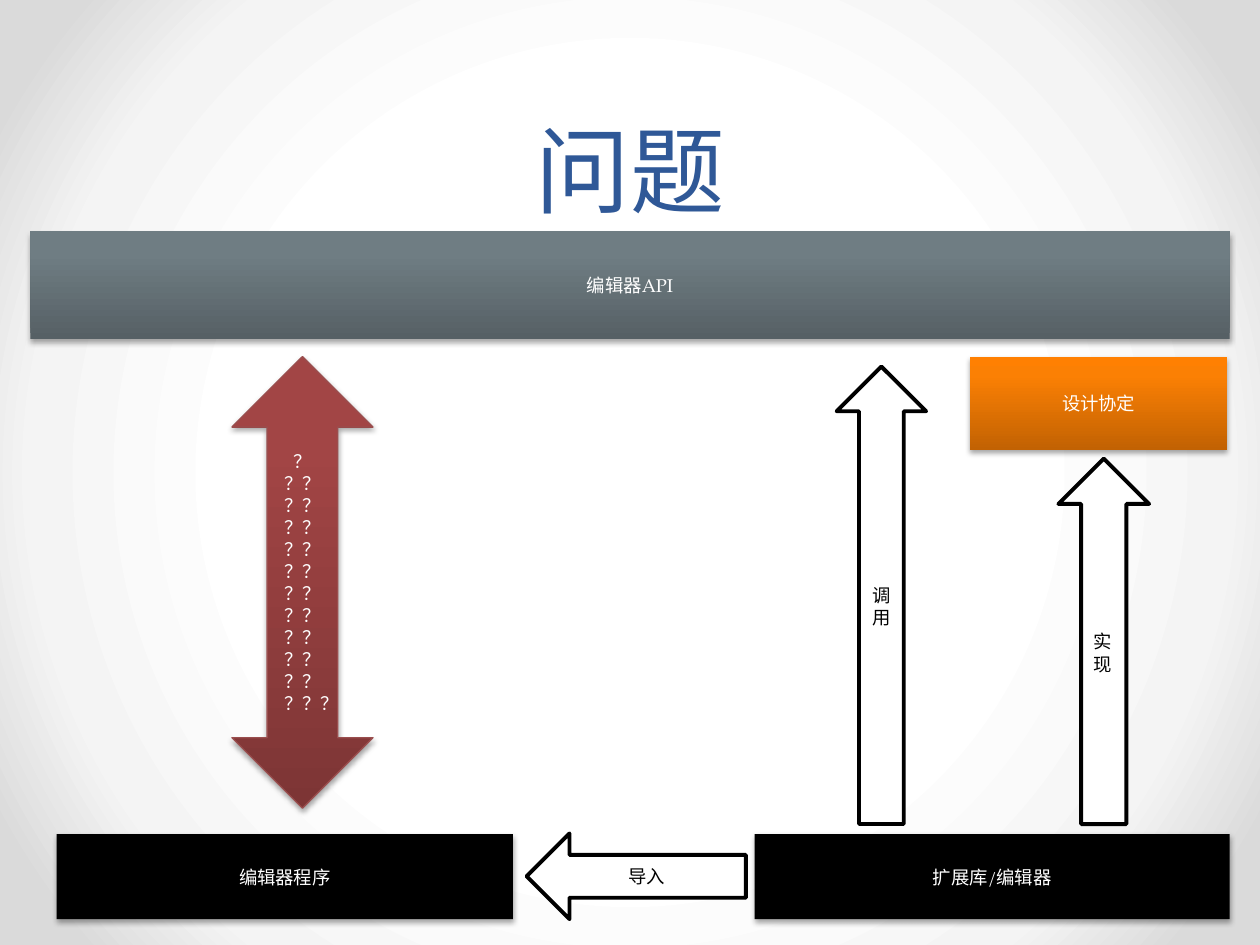
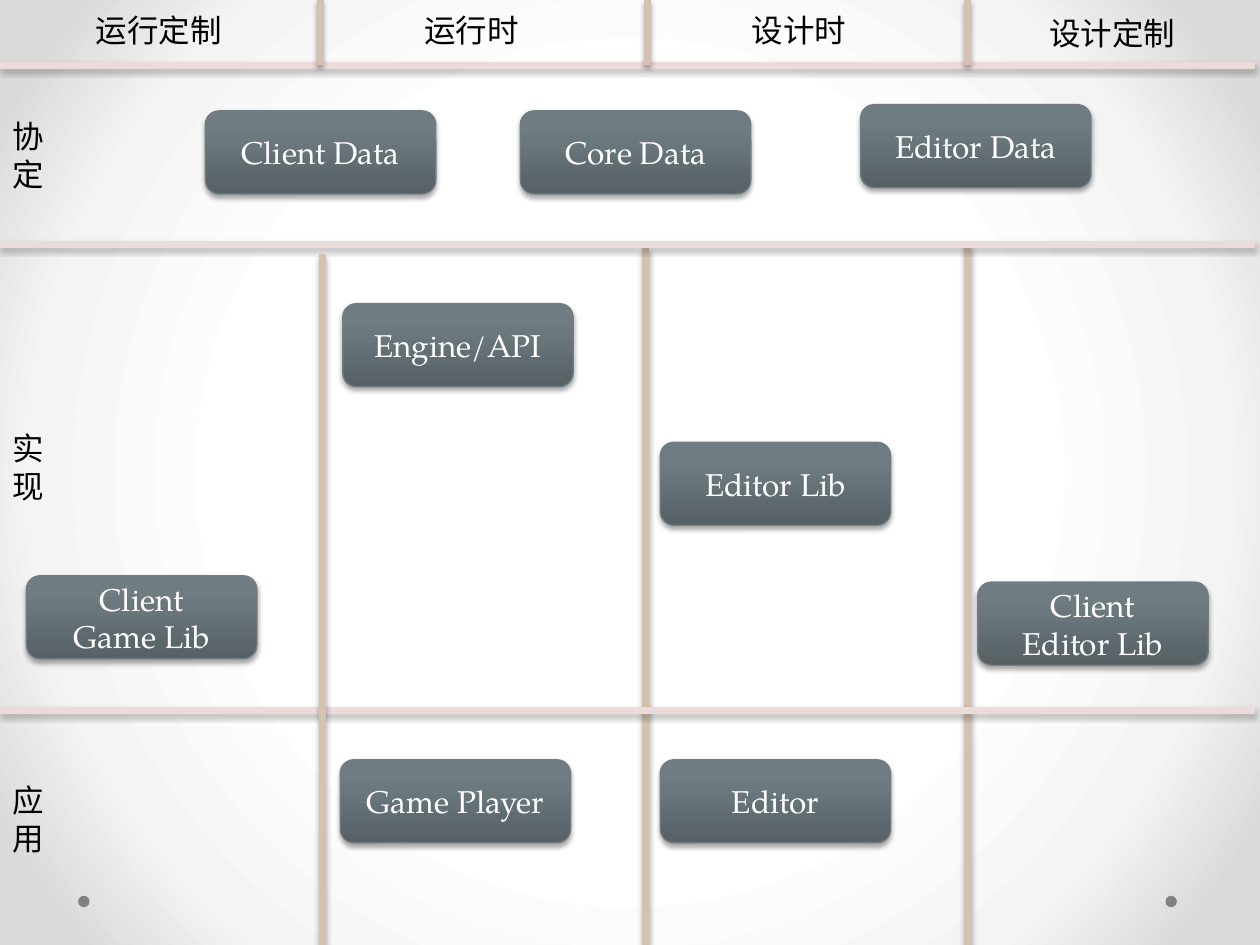
import pptx
import pptx.util
import pptx.dml.color
import pptx.enum.shapes
import pptx.enum.text
import pptx.oxml
import pptx.oxml.ns

Color = pptx.dml.color.RGBColor
Preset = pptx.enum.shapes.MSO_SHAPE
Align = pptx.enum.text.PP_ALIGN
Anchor = pptx.enum.text.MSO_ANCHOR

WIDTH = pptx.util.Inches(10)
HEIGHT = pptx.util.Inches(7.5)
FONT = "TeX Gyre Pagella"

BLACK = Color(0x00, 0x00, 0x00)
WHITE = Color(0xFF, 0xFF, 0xFF)
TITLE_BLUE = Color(0x2F, 0x58, 0x97)
SLATE_EDGE = Color(0x72, 0x7D, 0x82)
RED_EDGE = Color(0x9A, 0x4E, 0x4E)
SAND = Color(0xD4, 0xC2, 0xB0)
PINK = Color(0xEC, 0xDB, 0xDB)
DOT_GRAY = Color(0x80, 0x80, 0x80)

# Gradients: (position in percent, colour)
SLATE = [(0, Color(0x56, 0x60, 0x65)), (80, Color(0x6F, 0x7D, 0x83)),
         (100, Color(0x6F, 0x7E, 0x84))]
ORANGE = [(0, Color(0xC2, 0x62, 0x03)), (80, Color(0xFB, 0x80, 0x04)),
          (100, Color(0xFF, 0x80, 0x02))]
RED = [(0, Color(0x7D, 0x35, 0x35)), (80, Color(0xA2, 0x45, 0x45)),
       (100, Color(0xA4, 0x43, 0x43))]
BACKDROP = [(50, WHITE), (76, Color(0xF4, 0xF4, 0xF4)),
            (92, Color(0xDA, 0xDA, 0xDA))]
UPWARD = '<a:lin ang="16200000" scaled="0"/>'
CIRCULAR = ('<a:path path="circle"><a:fillToRect l="50000" t="50000" '
            'r="50000" b="50000"/></a:path>')


def across(percent):
    return round(WIDTH * percent / 100)


def down(percent):
    return round(HEIGHT * percent / 100)


def area(left, top, width, height):
    """Turn percentages of the slide into a position and a size."""
    return across(left), down(top), across(width), down(height)


def xml(text):
    """Parse one element whose tag has the prefix a."""
    tag_end = min(text.index(mark) for mark in " >" if mark in text)
    namespace = pptx.oxml.ns.nsdecls("a")
    return pptx.oxml.parse_xml(f"{text[:tag_end]} {namespace}{text[tag_end:]}")


def set_gradient(fill, holder, stops, direction):
    fill.gradient()
    old = next(holder.iter(pptx.oxml.ns.qn("a:gradFill")))
    marks = "".join(
        f'<a:gs pos="{position * 1000}"><a:srgbClr val="{color}"/></a:gs>'
        for position, color in stops)
    new = xml(f'<a:gradFill rotWithShape="1"><a:gsLst>{marks}</a:gsLst>'
              f'{direction}</a:gradFill>')
    old.getparent().replace(old, new)


def add_shadow(properties):
    """Give a shape or connector the soft shadow below it."""
    effects = properties.find(pptx.oxml.ns.qn("a:effectLst"))
    if effects is None:
        effects = xml("<a:effectLst ></a:effectLst>")
        properties.append(effects)
    blur, distance = pptx.util.Pt(3.1), pptx.util.Pt(1.8)
    effects.append(xml(
        f'<a:outerShdw blurRad="{blur}" dist="{distance}" dir="5400000" '
        'rotWithShape="0"><a:srgbClr val="000000"><a:alpha val="35000"/>'
        '</a:srgbClr></a:outerShdw>'))


def write(frame, text, size=18, color=BLACK, align=Align.LEFT,
          anchor=Anchor.TOP, wrap=True, spacing=None):
    frame.word_wrap = wrap
    frame.vertical_anchor = anchor
    for index, words in enumerate(text.split("\n")):
        para = frame.add_paragraph() if index else frame.paragraphs[0]
        para.alignment = align
        if spacing:
            para.line_spacing = pptx.util.Pt(spacing)
        span = para.add_run()
        span.text = words
        span.font.name = FONT
        span.font.size = pptx.util.Pt(size)
        span.font.color.rgb = color


def add_figure(page, preset, place, fill, text="", edge=None, edge_width=0.75,
               shadow=True, **text_format):
    """Add a preset shape; a list as fill is a gradient."""
    shape = page.shapes.add_shape(preset, *area(*place))
    if isinstance(fill, list):
        set_gradient(shape.fill, shape._element.spPr, fill, UPWARD)
    else:
        shape.fill.solid()
        shape.fill.fore_color.rgb = fill
    if edge is None:
        shape.line.fill.background()
    else:
        shape.line.color.rgb = edge
        shape.line.width = pptx.util.Pt(edge_width)
    shape.shadow.inherit = False
    if shadow:
        add_shadow(shape._element.spPr)
    if text:
        write(shape.text_frame, text, **{
            "align": Align.CENTER, "anchor": Anchor.MIDDLE,
            "color": WHITE, **text_format})


def add_outline_arrow(page, preset, place, text, align=Align.CENTER):
    add_figure(page, preset, place, WHITE, text, edge=BLACK, edge_width=2.25,
               shadow=False, size=10.5, color=BLACK, align=align)


def add_label(page, place, text):
    box = page.shapes.add_textbox(*area(*place))
    write(box.text_frame, text, wrap=False)


def add_divider(page, start, end, color):
    line = page.shapes.add_connector(
        pptx.enum.shapes.MSO_CONNECTOR.STRAIGHT,
        across(start[0]), down(start[1]), across(end[0]), down(end[1]))
    line.line.color.rgb = color
    line.line.width = pptx.util.Pt(4)
    add_shadow(line._element.spPr)


def build_problem(deck):
    page = deck.slides.add_slide(deck.slide_layouts[5])
    title = page.shapes.title
    title.left, title.top, title.width, title.height = area(5, 1.2, 90, 23.33)
    write(title.text_frame, "问题", size=54, color=TITLE_BLUE,
          align=Align.CENTER, anchor=Anchor.BOTTOM, spacing=58)

    blocks = [
        ("编辑器程序", (4.5, 88.27, 36.2, 9), BLACK),
        ("编辑器API", (2.4, 24.5, 95.2, 11.4), SLATE),
        ("设计协定", (77, 37.73, 20.4, 9.87), ORANGE),
        ("扩展库/编辑器", (59.9, 88.27, 37.7, 9), BLACK),
    ]
    for text, place, fill in blocks:
        add_figure(page, Preset.RECTANGLE, place, fill, text, size=10.5)

    add_outline_arrow(page, Preset.LEFT_ARROW, (41.8, 88.2, 17.4, 9.07), "导入")
    add_outline_arrow(page, Preset.UP_ARROW, (66.4, 38.8, 7.1, 48.4), "调用")
    add_outline_arrow(page, Preset.UP_ARROW, (84, 48.53, 7.2, 38.67), "实现",
                      align=Align.JUSTIFY)
    add_figure(page, Preset.UP_DOWN_ARROW, (18.4, 37.73, 11.2, 47.8), RED,
               "？\n" + "？" * 23, edge=RED_EDGE, size=10.5)


def build_layers(deck):
    page = deck.slides.add_slide(deck.slide_layouts[6])
    for left in (6.2, 92.5):
        add_figure(page, Preset.OVAL, (left, 94.8, 0.9, 1.2), DOT_GRAY,
                   shadow=False)

    first, *others = [(25.6, 26.93), (51.2, 26.27), (76.8, 25.87)]
    for left, top in others:
        add_divider(page, (left, top), (left, 100), SAND)
    for top in (6.93, 25.87, 75.2):
        add_divider(page, (0, top), (99.6, top), PINK)
    add_divider(page, first, (first[0], 100), SAND)
    for left in (25.4, 51.4, 76.8):
        add_divider(page, (left, 0), (left, 6.93), SAND)

    headings = [("运行定制", 6.6, 0.5, 12.1), ("运行时", 32.7, 0.5, 9.6),
                ("设计时", 58.7, 0.5, 9.6), ("设计定制", 82.3, 0.8, 12.1)]
    for text, left, top, width in headings:
        add_label(page, (left, top, width, 5.33), text)
    for text, top in (("协\n定", 11.73), ("实\n现", 44.8), ("应\n用", 82)):
        add_label(page, (0, top, 4.5, 9.47), text)

    modules = [
        ("Client Data", 16.3, 11.73), ("Core Data", 41.3, 11.73),
        ("Editor Data", 68.3, 11.07), ("Engine/API", 27.2, 32.13),
        ("Editor Lib", 52.4, 46.8), ("Client\nGame Lib", 2.1, 60.93),
        ("Client\nEditor Lib", 77.6, 61.6), ("Game Player", 27, 80.4),
        ("Editor", 52.4, 80.4),
    ]
    for text, left, top in modules:
        add_figure(page, Preset.ROUNDED_RECTANGLE, (left, top, 18.3, 8.8),
                   SLATE, text, edge=SLATE_EDGE)


def main():
    deck = pptx.Presentation()
    deck.slide_width, deck.slide_height = WIDTH, HEIGHT
    master = deck.slide_master
    set_gradient(master.background.fill, master._element, BACKDROP, CIRCULAR)
    build_problem(deck)
    build_layers(deck)
    deck.save("out.pptx")


if __name__ == "__main__":
    main()
